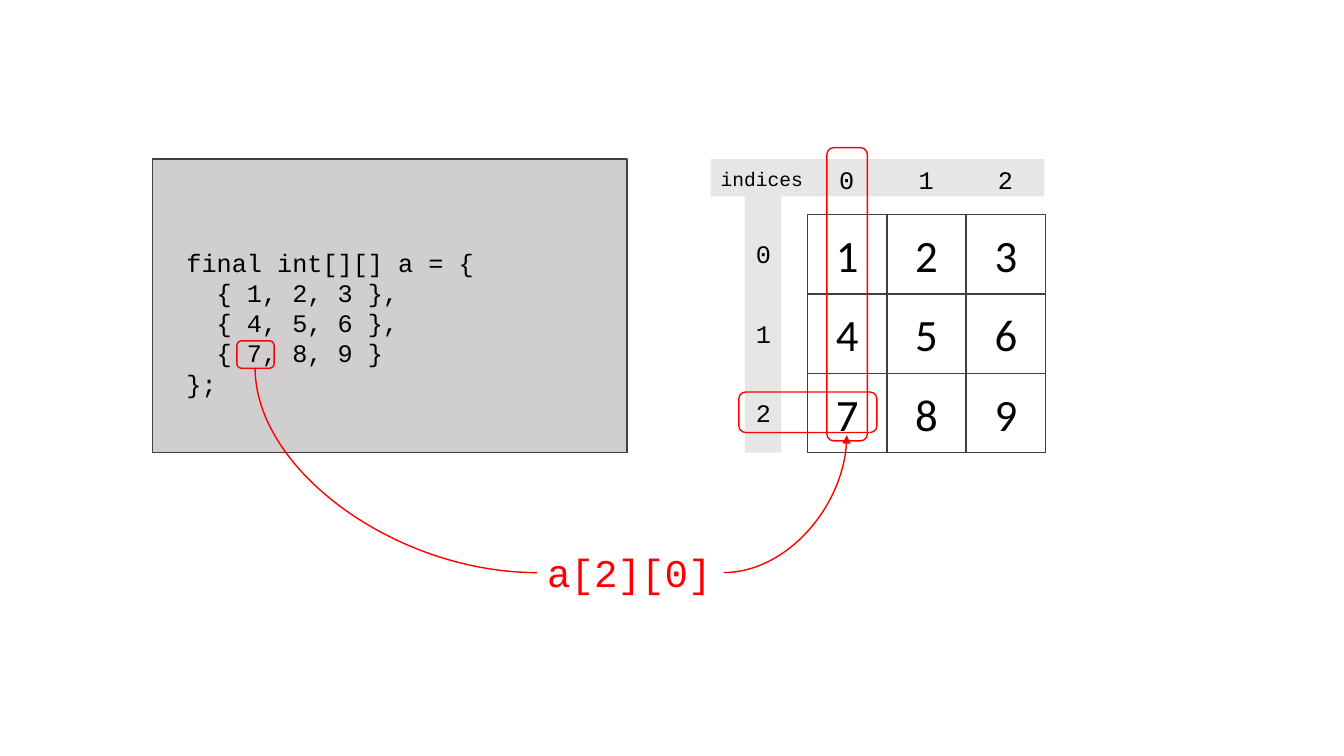
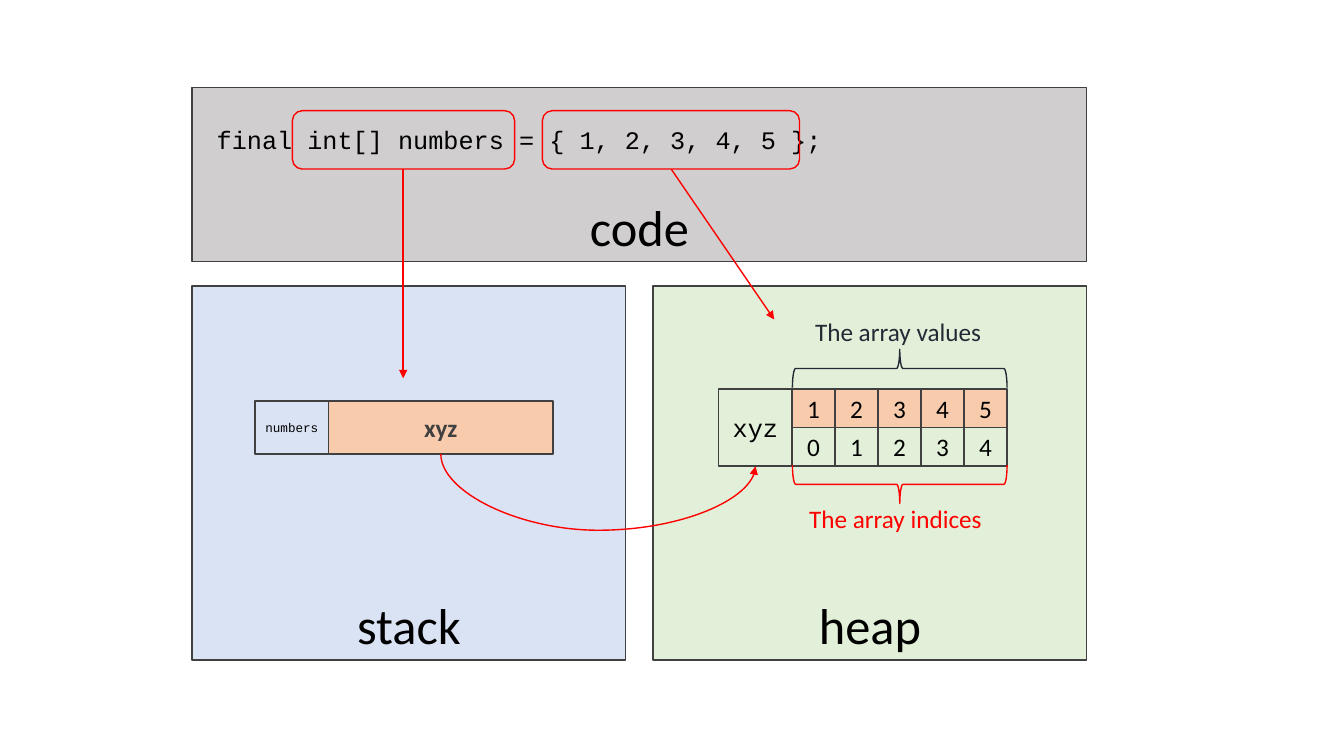
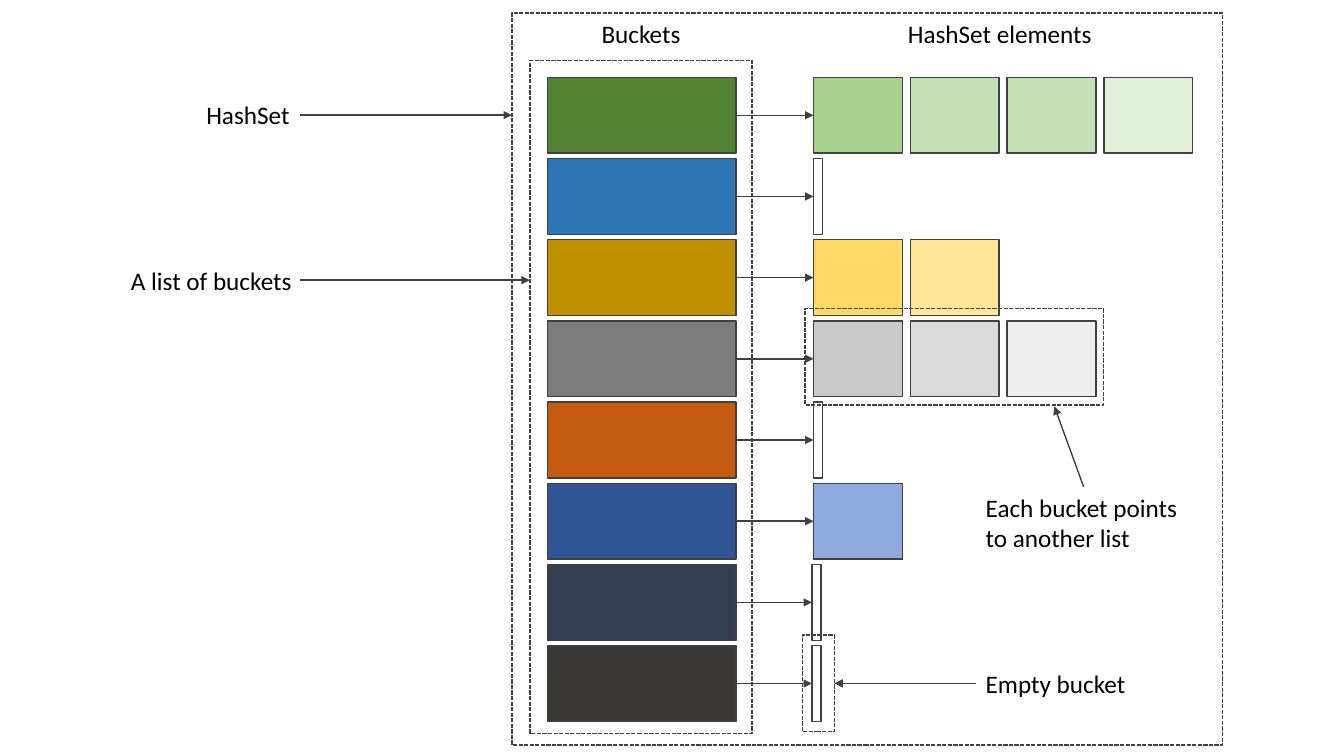
from lxml.etree import SubElement
from pptx import Presentation
from pptx.dml.color import RGBColor
from pptx.enum.dml import MSO_LINE
from pptx.enum.shapes import MSO_CONNECTOR, MSO_SHAPE
from pptx.enum.text import MSO_ANCHOR, MSO_AUTO_SIZE, PP_ALIGN
from pptx.oxml.ns import qn
from pptx.util import Cm, Pt

SANS, MONO = "Calibri", "Courier New"
BLACK, WHITE, RED = "000000", "FFFFFF", "FF0000"
OUTLINE, NAVY = "404040", "222A35"
CODE_GREY, INDEX_GREY = "D0CECE", "E7E6E6"
STACK_BLUE, HEAP_GREEN, VALUE_ORANGE = "DAE3F3", "E2F0D9", "F8CBAD"

BUCKETS = [
    ("548235", ["A9D18E", "C5E0B4", "C5E0B4", "E2F0D9"]),
    ("2E75B6", []),
    ("BF9000", ["FFD966", "FFE699"]),
    ("7C7C7C", ["C9C9C9", "DBDBDB", "EDEDED"]),
    ("C55A11", []),
    ("2F5597", ["8FAADC"]),
    ("333F50", []),
    ("3B3838", []),
]


def rgb(value):
    return RGBColor.from_string(value)


def style_text(tf, size, font, color, bold=False, align=None):
    for p in tf.paragraphs:
        p.alignment = align
        for r in p.runs:
            r.font.size = Pt(size)
            r.font.name = font
            r.font.bold = bold
            r.font.color.rgb = rgb(color)


def add_box(s, x, y, w, h, fill=None, line=OUTLINE, shape=MSO_SHAPE.RECTANGLE,
            dashed=False, rotation=0):
    sp = s.shapes.add_shape(shape, Cm(x), Cm(y), Cm(w), Cm(h))
    sp.shadow.inherit = False
    sp.rotation = rotation
    if fill:
        sp.fill.solid()
        sp.fill.fore_color.rgb = rgb(fill)
    else:
        sp.fill.background()
    if line:
        sp.line.color.rgb = rgb(line)
        sp.line.width = Pt(1)
        if dashed:
            sp.line.dash_style = MSO_LINE.SQUARE_DOT
    else:
        sp.line.fill.background()
    return sp


def add_cell(s, x, y, w, h, text, fill=None, size=18, font=SANS, color=BLACK,
             bold=False, anchor=MSO_ANCHOR.MIDDLE):
    """Outlined rectangle with centred text."""
    tf = add_box(s, x, y, w, h, fill).text_frame
    tf.margin_left = tf.margin_right = 0
    tf.vertical_anchor = anchor
    tf.text = text
    style_text(tf, size, font, color, bold, PP_ALIGN.CENTER)


def add_panel(s, x, y, w, h, text, fill):
    add_cell(s, x, y, w, h, text, fill, 36, anchor=MSO_ANCHOR.BOTTOM)


def add_label(s, x, y, w, h, text, size=18, font=SANS, color=BLACK, wrap=False):
    tf = s.shapes.add_textbox(Cm(x), Cm(y), Cm(w), Cm(h)).text_frame
    tf.word_wrap = wrap
    tf.auto_size = MSO_AUTO_SIZE.SHAPE_TO_FIT_TEXT
    tf.text = text
    style_text(tf, size, font, color)


def add_marker(s, x, y, w, h):
    add_box(s, x, y, w, h, line=RED, shape=MSO_SHAPE.ROUNDED_RECTANGLE)


def add_line(s, x1, y1, x2, y2, color=OUTLINE, arrow=True, kind=MSO_CONNECTOR.STRAIGHT):
    line = s.shapes.add_connector(kind, Cm(x1), Cm(y1), Cm(x2), Cm(y2))
    line.line.color.rgb = rgb(color)
    line.line.width = Pt(1)
    if arrow:
        SubElement(line.line._get_or_add_ln(), qn("a:tailEnd"), type="triangle")
    SubElement(line._element.spPr, qn("a:effectLst"))
    return line


def add_curve(s, x1, y1, x2, y2, preset, flip, turned=False, arrow=True, bend=None):
    """Red curve; a turned one is stored on its side, about the same centre."""
    w, h = abs(x2 - x1), abs(y2 - y1)
    cx, cy = (x1 + x2) / 2, (y1 + y2) / 2
    if turned:
        w, h = h, w
    curve = add_line(s, cx - w / 2, cy - h / 2, cx + w / 2, cy + h / 2,
                     RED, arrow, MSO_CONNECTOR.CURVE)
    xfrm = curve._element.spPr.find(qn("a:xfrm"))
    xfrm.set(flip, "1")
    if turned:
        xfrm.set("rot", str(270 * 60000))
    geom = curve._element.spPr.find(qn("a:prstGeom"))
    geom.set("prst", preset)
    if bend:
        SubElement(geom.find(qn("a:avLst")), qn("a:gd"), name="adj1", fmla=f"val {bend}")


def build_matrix(s):
    add_box(s, 18.77, 4.93, 0.92, 6.48, INDEX_GREY, line=None)
    add_box(s, 17.91, 4.01, 8.41, 0.94, INDEX_GREY, line=None)
    add_box(s, 3.84, 4.01, 11.96, 7.4, CODE_GREY)
    side = 2
    for row in range(3):
        for col in range(3):
            add_cell(s, 20.35 + col * side, 5.41 + row * side, side, side,
                     str(3 * row + col + 1), WHITE, 32)
    for i in range(3):
        add_label(s, 18.8, 5.89 + i * side, 0.89, 1.02, str(i), font=MONO)
        add_label(s, 20.9 + i * side, 4.01, 0.89, 1.02, str(i), font=MONO)
    code = ["final int[][] a = {", "  { 1, 2, 3 },", "  { 4, 5, 6 },", "  { 7, 8, 9 }", "};"]
    add_label(s, 4.45, 6.1, 7.8, 4.11, "\n".join(code), font=MONO)
    add_marker(s, 5.97, 8.59, 0.94, 0.69)
    add_marker(s, 18.62, 9.88, 3.48, 1.02)
    add_marker(s, 20.84, 3.72, 1.02, 7.39)
    add_label(s, 13.54, 13.69, 4.7, 1.45, "a[2][0]", 28, MONO, RED)
    add_curve(s, 6.43, 9.27, 13.54, 14.43, "curvedConnector2", "flipH", turned=True, arrow=False)
    add_curve(s, 18.24, 14.43, 21.34, 10.97, "curvedConnector2", "flipV")
    add_label(s, 17.91, 4.09, 2.59, 0.86, "indices", 14, MONO)


def build_memory(s):
    add_panel(s, 4.84, 2.21, 22.55, 4.38, "code", CODE_GREY)
    add_panel(s, 16.46, 7.21, 10.93, 9.42, "heap", HEAP_GREEN)
    add_panel(s, 4.84, 7.21, 10.93, 9.42, "stack", STACK_BLUE)

    add_cell(s, 8.28, 10.11, 5.66, 1.33, "xyz", VALUE_ORANGE, color=OUTLINE, bold=True)
    add_cell(s, 6.43, 10.11, 1.85, 1.33, "numbers", size=9, font=MONO)

    add_cell(s, 18.11, 9.8, 1.85, 1.94, "xyz", font=MONO)
    cell_w, cell_h = 5.42 / 5, 0.97
    for i in range(5):
        x = 19.96 + i * cell_w
        add_cell(s, x, 9.8, cell_w, cell_h, str(i + 1), VALUE_ORANGE)
        add_cell(s, x, 9.8 + cell_h, cell_w, cell_h, str(i))

    add_curve(s, 11.11, 11.44, 19.04, 11.75, "curvedConnector3", "flipH", turned=True, bend=620200)
    for y, rotation, color in [(9.5, 90, RED), (6.58, 270, NAVY)]:
        add_box(s, 22.19, y, 0.97, 5.41, line=color, shape=MSO_SHAPE.RIGHT_BRACE,
                rotation=rotation)
    add_label(s, 20.14, 12.55, 5.05, 1.02, "The array indices", color=RED)
    add_label(s, 20.29, 7.85, 4.75, 1.02, "The array values", color=NAVY)

    add_label(s, 4.83, 3.02, 16.2, 1.02, " final int[] numbers = { 1, 2, 3, 4, 5 };", font=MONO)
    add_marker(s, 7.37, 2.79, 5.6, 1.47)
    add_marker(s, 13.67, 2.79, 6.48, 1.47)
    add_line(s, 10.16, 4.27, 10.16, 9.53, RED)
    add_line(s, 16.92, 4.27, 19.51, 8.05, RED)


def build_hash_set(s):
    pitch, height = 14.32 / 7, 1.91
    for i, (color, elements) in enumerate(BUCKETS):
        y = 1.95 + i * pitch
        x = 20.5 if i < 6 else 20.46
        add_line(s, 18.55, y + height / 2, x, y + height / 2)
        add_box(s, 13.8, y, 4.75, height, color)
        for j, element in enumerate(elements):
            add_box(s, x + j * 2.44, y, 2.24, height, element)
        if not elements:
            add_box(s, x, y, 0.23, height)

    for frame in [(12.9, 0.33, 17.91, 18.44), (13.36, 1.52, 5.59, 16.97),
                  (20.29, 7.77, 7.52, 2.44), (20.22, 16, 0.81, 2.44)]:
        add_box(s, *frame, dashed=True)

    for x, y, w, text in [(14.91, 0.33, 2.51, "Buckets"),
                          (22.63, 0.33, 5.21, "HashSet elements"),
                          (4.95, 2.39, 2.64, "HashSet"),
                          (3.05, 6.55, 4.6, "A list of buckets"),
                          (24.59, 16.71, 4.06, "Empty bucket")]:
        add_label(s, x, y, w, 1.02, text)
    add_label(s, 24.59, 12.27, 5.46, 1.8, "Each bucket points to another list", wrap=True)

    for ends in [(7.57, 2.9, 12.9, 2.9), (7.57, 7.06, 13.35, 7.06),
                 (27.31, 12.27, 26.57, 10.24), (24.59, 17.22, 21.03, 17.22)]:
        add_line(s, *ends)


def main():
    prs = Presentation()
    prs.slide_width, prs.slide_height = Cm(33.87), Cm(19.05)
    for build in (build_matrix, build_memory, build_hash_set):
        build(prs.slides.add_slide(prs.slide_layouts[6]))
    prs.save("out.pptx")


if __name__ == "__main__":
    main()
